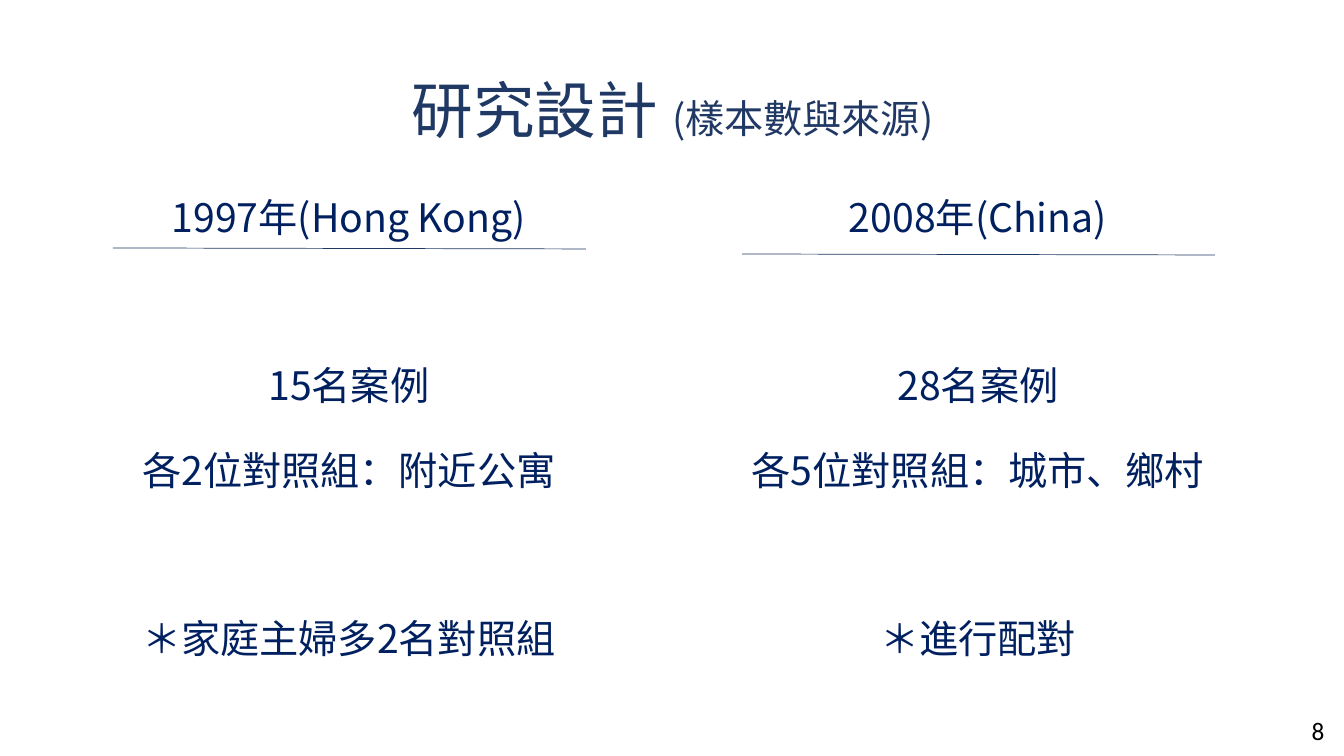
from lxml.etree import SubElement
from pptx import Presentation
from pptx.dml.color import RGBColor
from pptx.enum.shapes import MSO_CONNECTOR as CONN
from pptx.enum.text import MSO_ANCHOR, MSO_AUTO_SIZE as FIT, PP_ALIGN
from pptx.oxml.ns import qn
from pptx.util import Inches, Pt

SLATE = RGBColor(0x20, 0x38, 0x64)
NAVY = RGBColor(0x00, 0x20, 0x60)
BLACK = RGBColor(0, 0, 0)
CJK = "Noto Sans CJK SC"
W, H = Inches(13.33), Inches(7.5)
GAP, SECTION_GAP = 10, 70
RULE_WIDTH, RULE_DROP = 35.19, 0.13

STUDIES = [
    ((2.7, 21.73, 46.51, 69.47), (8.4, 32.8),
     ["1997年(Hong Kong)", "15名案例", "各2位對照組：附近公寓", "＊家庭主婦多2名對照組"]),
    ((47.71, 21.73, 50.11, 70.67), (55.21, 33.6),
     ["2008年(China)", "28名案例", "各5位對照組：城市、鄉村", "＊進行配對"]),
]


def col(share):
    return round(W * share / 100)


def row(share):
    return round(H * share / 100)


def place(sp, box):
    x, y, w, h = box
    sp.left, sp.top, sp.width, sp.height = col(x), row(y), col(w), row(h)


def add_run(p, text, size, color, font=CJK):
    r = p.add_run()
    r.text = text
    r.font.size = Pt(size)
    r.font.name = font
    r.font.color.rgb = color
    SubElement(r.font._element, qn("a:ea")).set("typeface", font)


def add_title(s):
    sp = s.shapes.title
    place(sp, (6.9, 5.33, 86.27, 19.33))
    tf = sp.text_frame
    tf.auto_size = FIT.NONE
    tf.vertical_anchor = MSO_ANCHOR.MIDDLE
    p = tf.paragraphs[0]
    p.alignment = PP_ALIGN.CENTER
    p.line_spacing = 0.9
    add_run(p, "研究設計 ", 44, SLATE)
    add_run(p, "(樣本數與來源)", 28, SLATE)


def add_study(sp, box, lines):
    place(sp, box)
    tf = sp.text_frame
    tf.auto_size = FIT.NONE
    for i, text in enumerate(lines):
        p = tf.paragraphs[0] if i == 0 else tf.add_paragraph()
        p.alignment = PP_ALIGN.CENTER
        p.line_spacing = 1.5
        p.space_before = Pt(SECTION_GAP if i in (1, 3) else GAP)
        pPr = p._p.get_or_add_pPr()
        pPr.set("marL", "0")
        pPr.set("indent", "0")
        SubElement(pPr, qn("a:buNone"))
        add_run(p, text, 28, NAVY)


def add_rule(s, x, y):
    line = s.shapes.add_connector(
        CONN.STRAIGHT, col(x), row(y), col(x + RULE_WIDTH), row(y + RULE_DROP))
    line.line.color.rgb = SLATE
    line.line.width = Pt(0.5)
    SubElement(line._element.spPr, qn("a:effectLst"))


def add_page_number(s, number):
    sp = s.shapes.add_textbox(col(96.85), row(94), col(2.48), row(5.33))
    tf = sp.text_frame
    tf.word_wrap = False
    tf.auto_size = FIT.SHAPE_TO_FIT_TEXT
    add_run(tf.paragraphs[0], number, 18, BLACK, "Calibri")


def main():
    prs = Presentation()
    prs.slide_width, prs.slide_height = W, H
    s = prs.slides.add_slide(prs.slide_layouts.get_by_name("Two Content"))
    add_title(s)
    for idx, (box, rule, lines) in enumerate(STUDIES, 1):
        add_study(s.placeholders[idx], box, lines)
        add_rule(s, *rule)
    add_page_number(s, "8")
    prs.save("out.pptx")


if __name__ == "__main__":
    main()
